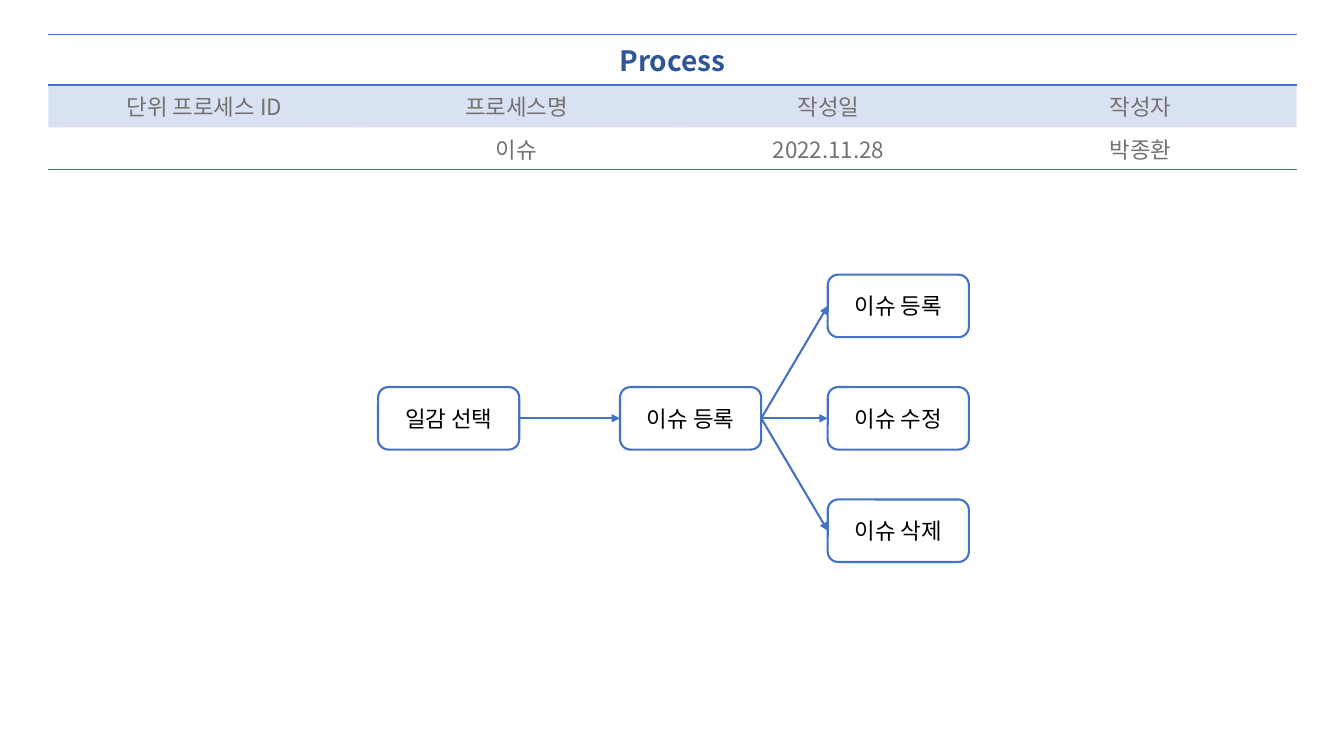
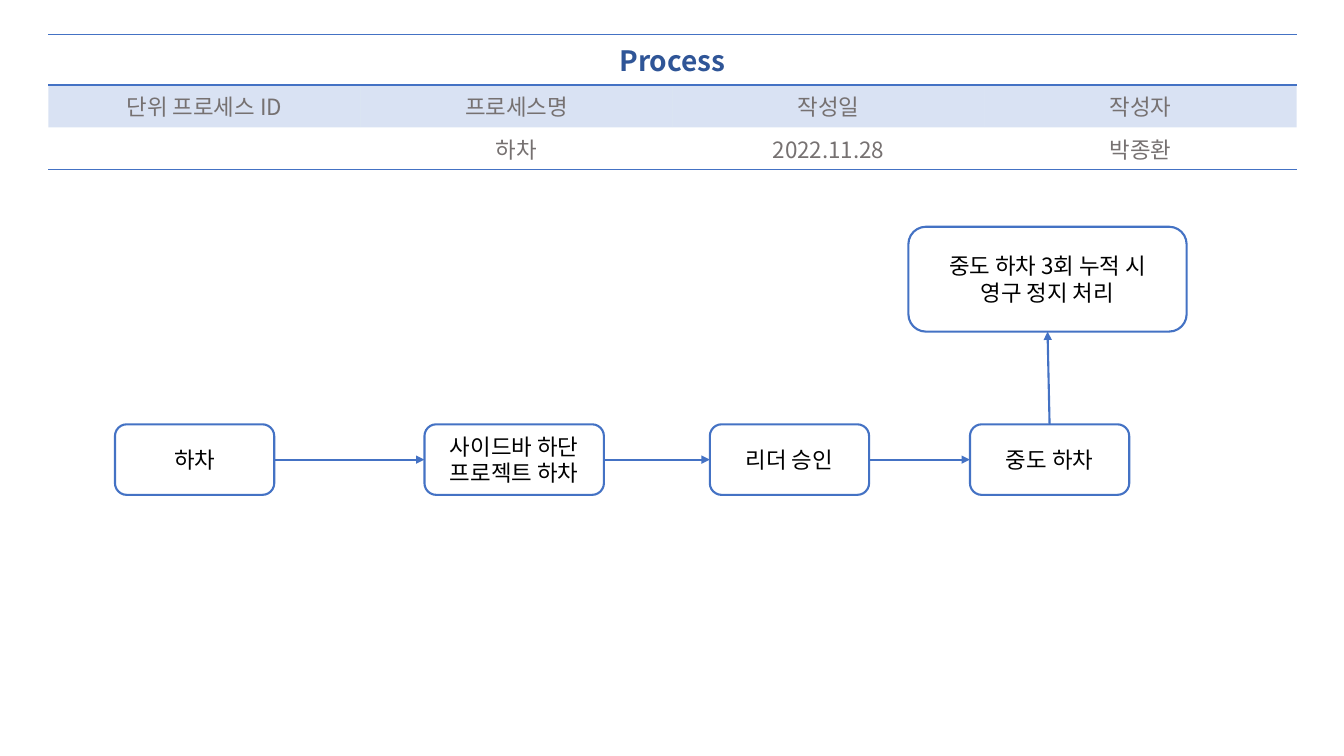
from dataclasses import dataclass

import pptx
import pptx.dml.color
import pptx.enum.shapes
import pptx.enum.text
import pptx.oxml
import pptx.oxml.ns
import pptx.util
from lxml import etree

Inches = pptx.util.Inches
Pt = pptx.util.Pt
qn = pptx.oxml.ns.qn
RGB = pptx.dml.color.RGBColor.from_string

TOP, LEFT, RIGHT = 0, 1, 3  # connection sites of a rounded rectangle


@dataclass(frozen=True)
class Theme:
    font: str = "Noto Sans CJK KR"
    accent: str = "4472C4"
    title: str = "2F5597"
    muted: str = "767171"
    ink: str = "000000"
    paper: str = "FFFFFF"
    title_size: int = 20
    body_size: int = 16
    rule_width: float = 1
    flow_width: float = 1.5
    header_alpha: int = 20


THEME = Theme()
HEADINGS = ["단위 프로세스 ID", "프로세스명", "작성일", "작성자"]


# Text
def write_lines(text_frame, text, size, color, bold=False):
    text_frame.text = text
    for paragraph in text_frame.paragraphs:
        paragraph.alignment = pptx.enum.text.PP_ALIGN.CENTER
        font = paragraph.font
        font.name, font.size, font.bold = THEME.font, Pt(size), bold
        font.color.rgb = RGB(color)
        east_asian = etree.SubElement(font._element, qn("a:ea"))
        east_asian.set("typeface", THEME.font)


# Header table
def add_rule(cell, side):
    rule = etree.SubElement(cell._tc.get_or_add_tcPr(), qn(f"a:ln{side}"))
    rule.set("w", str(Pt(THEME.rule_width)))
    fill = etree.SubElement(rule, qn("a:solidFill"))
    etree.SubElement(fill, qn("a:srgbClr")).set("val", THEME.accent)


def tint_cell(cell):
    cell.fill.solid()
    cell.fill.fore_color.rgb = RGB(THEME.accent)
    color = cell._tc.tcPr.find(".//" + qn("a:srgbClr"))
    etree.SubElement(color, qn("a:alpha")).set("val", str(THEME.header_alpha * 1000))


def add_header_table(slide, process_name):
    frame = slide.shapes.add_table(
        3, len(HEADINGS), Inches(0.48), Inches(0.34), Inches(12.38), Inches(1.22))
    table = frame.table
    table.first_row = table.horz_banding = False
    # The built-in style without fills or grid
    table._tbl.tblPr.find(qn("a:tableStyleId")).text = "{2D5ABB26-0587-4C30-8999-92F81FD0307C}"
    for row, height in zip(table.rows, (0.46, 0.38, 0.38)):
        row.height = Inches(height)

    table.cell(0, 0).merge(table.cell(0, len(HEADINGS) - 1))
    write_lines(table.cell(0, 0).text_frame, "Process", THEME.title_size, THEME.title, bold=True)
    values = ["", process_name, "2022.11.28", "박종환"]
    for column, (heading, value) in enumerate(zip(HEADINGS, values)):
        title_cell, heading_cell, value_cell = (table.cell(row, column) for row in range(3))
        add_rule(title_cell, "T")
        add_rule(title_cell, "B")
        add_rule(value_cell, "B")
        tint_cell(heading_cell)
        write_lines(heading_cell.text_frame, heading, THEME.body_size, THEME.muted)
        write_lines(value_cell.text_frame, value, THEME.body_size, THEME.muted)


# Flow chart
def add_step(slide, text, left, top, width, height):
    shape = slide.shapes.add_shape(
        pptx.enum.shapes.MSO_SHAPE.ROUNDED_RECTANGLE,
        Inches(left), Inches(top), Inches(width), Inches(height))
    shape.shadow.inherit = False
    shape.fill.solid()
    shape.fill.fore_color.rgb = RGB(THEME.paper)
    shape.line.color.rgb = RGB(THEME.accent)
    shape.line.width = Pt(THEME.flow_width)
    shape.text_frame.word_wrap = True
    shape.text_frame.vertical_anchor = pptx.enum.text.MSO_ANCHOR.MIDDLE
    write_lines(shape.text_frame, text, THEME.body_size, THEME.ink)
    return shape


def add_arrow(slide, source, target, source_site=RIGHT, target_site=LEFT):
    arrow = slide.shapes.add_connector(pptx.enum.shapes.MSO_CONNECTOR.STRAIGHT, 0, 0, 0, 0)
    arrow.begin_connect(source, source_site)
    arrow.end_connect(target, target_site)
    arrow.line.color.rgb = RGB(THEME.accent)
    arrow.line.width = Pt(THEME.flow_width)
    etree.SubElement(arrow.line._get_or_add_ln(), qn("a:tailEnd")).set("type", "triangle")
    etree.SubElement(arrow._element.spPr, qn("a:effectLst"))


# Slides
def add_process_slide(presentation, process_name):
    slide = presentation.slides.add_slide(presentation.slide_layouts[6])
    add_header_table(slide, process_name)
    return slide


def add_issue_slide(presentation):
    slide = add_process_slide(presentation, "이슈")
    width, height, middle, pitch = 1.4, 0.62, 3.84, 1.115
    select = add_step(slide, "일감 선택", 3.75, middle, width, height)
    register = add_step(slide, "이슈 등록", 6.15, middle, width, height)
    add_arrow(slide, select, register)
    for offset, text in enumerate(["이슈 등록", "이슈 수정", "이슈 삭제"], start=-1):
        action = add_step(slide, text, 8.21, middle + offset * pitch, width, height)
        add_arrow(slide, register, action)


def add_leave_slide(presentation):
    slide = add_process_slide(presentation, "하차")
    steps = [
        add_step(slide, text, left, 4.21, width, 0.7)
        for text, left, width in [
            ("하차", 1.14, 1.58),
            ("사이드바 하단\n프로젝트 하차", 4.21, 1.78),
            ("리더 승인", 7.04, 1.58),
            ("중도 하차", 9.62, 1.58),
        ]
    ]
    for source, target in zip(steps, steps[1:]):
        add_arrow(slide, source, target)
    suspension = add_step(slide, "중도 하차 3회 누적 시\n영구 정지 처리", 9.01, 2.25, 2.76, 1.04)
    add_arrow(slide, steps[-1], suspension, TOP, 2)


def main():
    presentation = pptx.Presentation()
    presentation.slide_width = Inches(13.33)
    presentation.slide_height = Inches(7.5)
    add_issue_slide(presentation)
    add_leave_slide(presentation)
    presentation.save("out.pptx")


if __name__ == "__main__":
    main()
